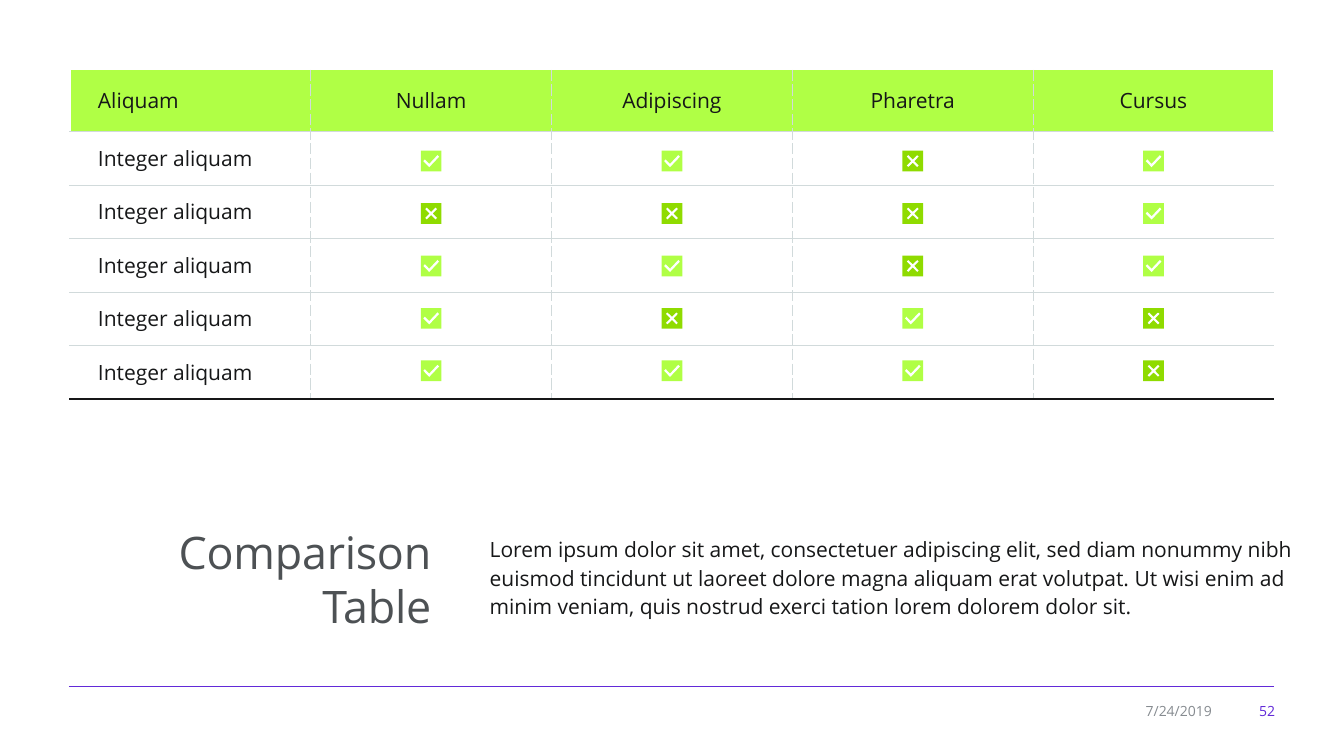
from dataclasses import dataclass

from lxml.etree import SubElement
from pptx import Presentation
from pptx.dml.color import RGBColor
from pptx.enum.shapes import MSO_CONNECTOR as Connector, MSO_SHAPE as Shape
from pptx.enum.text import MSO_ANCHOR as Anchor, MSO_AUTO_SIZE as AutoSize, PP_ALIGN as Align
from pptx.oxml.ns import qn
from pptx.util import Pt


@dataclass(frozen=True)
class Theme:
    font: str = "Open Sans"
    ink: str = "161718"
    title: str = "4D5154"
    muted: str = "868B90"
    accent: str = "622AD8"
    lime: str = "B0FF45"
    green: str = "8FDB00"
    grid: str = "D1DADB"
    white: str = "FFFFFF"
    title_size: float = 32
    body_size: float = 15
    footer_size: float = 10


THEME = Theme()

HEADERS = ["Aliquam", "Nullam", "Adipiscing", "Pharetra", "Cursus"]
ROW_LABEL = "Integer aliquam"
# One string per row: y is a check mark, n is a cross.
MARKS = ["yyny", "nnny", "yyny", "ynyn", "yyyn"]
HEADER_HEIGHT = 44
ROW_HEIGHT = 38.2

MARK_SIZE = 14.8
MARK_TOP = 21.1  # centre of the first mark below the header
MARK_PITCH = 37.45
# Outlines in points from the centre of a mark.
CHECK = [(-1.4, 4.3), (-5.6, 0), (-4.5, -1.2), (-1.4, 2), (4.5, -4.3), (5.6, -3.1)]
CROSS = [(4.2, -3.2), (3.2, -4.2), (0, -1.1), (-3.2, -4.2), (-4.2, -3.2), (-1.1, 0),
         (-4.2, 3.2), (-3.2, 4.2), (0, 1.1), (3.2, 4.2), (4.2, 3.2), (1.1, 0)]

BODY = ("Lorem ipsum dolor sit amet, consectetuer adipiscing elit, sed diam nonummy nibh "
        "euismod tincidunt ut laoreet dolore magna aliquam erat volutpat. Ut wisi enim ad "
        "minim veniam, quis nostrud exerci tation lorem dolorem dolor sit.")


def rgb(color):
    return RGBColor.from_string(color)


def style_para(para, size, color, align=Align.LEFT):
    para.alignment = align
    para.font.name = THEME.font
    para.font.size = Pt(size)
    para.font.color.rgb = rgb(color)


def add_text(page, box, text, size, color, align=Align.LEFT, anchor=Anchor.TOP):
    frame = page.shapes.add_textbox(*map(Pt, box)).text_frame
    frame.word_wrap = True
    frame.vertical_anchor = anchor
    para = frame.paragraphs[0]
    para.text = text
    style_para(para, size, color, align)
    return para


def paint(shape, color):
    shape.shadow.inherit = False
    shape.fill.solid()
    shape.fill.fore_color.rgb = rgb(color)
    shape.line.fill.background()


def add_border(cell, side, color, width=0.5, dash="solid"):
    """Draw one side (L, R, T or B) of a cell; call before setting its fill."""
    line = SubElement(cell._tc.get_or_add_tcPr(), qn(f"a:ln{side}"), w=str(Pt(width)))
    fill = SubElement(line, qn("a:solidFill"))
    SubElement(fill, qn("a:srgbClr"), val=color)
    SubElement(line, qn("a:prstDash"), val=dash)


def style_cell(cell, row, column):
    is_header, is_last = row == 0, row == len(MARKS)
    if column > 0:
        add_border(cell, "L", THEME.grid, dash="dash")
    if column < len(HEADERS) - 1:
        add_border(cell, "R", THEME.grid, dash="dash")
    add_border(cell, "T", THEME.lime if is_header else THEME.grid)
    if is_last:
        add_border(cell, "B", THEME.ink, 1.5)
    else:
        add_border(cell, "B", THEME.lime if is_header else THEME.grid)
    if is_header:
        cell.fill.solid()
        cell.fill.fore_color.rgb = rgb(THEME.lime)
    else:
        cell.fill.background()
    cell.vertical_anchor = Anchor.MIDDLE
    if column == 0:
        cell.margin_left = Pt(20)
    style_para(cell.text_frame.paragraphs[0], THEME.body_size, THEME.ink,
               Align.CENTER if column else Align.LEFT)


def add_mark(page, center_x, center_y, is_check):
    group = page.shapes.add_group_shape()
    half = MARK_SIZE / 2
    tile = group.shapes.add_shape(Shape.RECTANGLE, Pt(center_x - half), Pt(center_y - half),
                                  Pt(MARK_SIZE), Pt(MARK_SIZE))
    paint(tile, THEME.lime if is_check else THEME.green)
    points = [(Pt(center_x + x), Pt(center_y + y)) for x, y in (CHECK if is_check else CROSS)]
    builder = group.shapes.build_freeform(*points[0])
    builder.add_line_segments(points[1:], close=True)
    paint(builder.convert_to_shape(), THEME.white)


def add_comparison(page, box):
    left, top, width, height = box
    column_width = width / len(HEADERS)
    table = page.shapes.add_table(len(MARKS) + 1, len(HEADERS), *map(Pt, box)).table
    table.first_row = table.horz_banding = False
    for column in table.columns:
        column.width = Pt(column_width)
    for index, row in enumerate(table.rows):
        row.height = Pt(ROW_HEIGHT if index else HEADER_HEIGHT)
        for column, cell in enumerate(row.cells):
            if index == 0:
                cell.text = HEADERS[column]
            elif column == 0:
                cell.text = ROW_LABEL
            style_cell(cell, index, column)
    for index, marks in enumerate(MARKS):
        center_y = top + HEADER_HEIGHT + MARK_TOP + index * MARK_PITCH
        for column, mark in enumerate(marks, start=1):
            add_mark(page, left + (column + 0.5) * column_width, center_y, mark == "y")


def add_caption(page, box):
    """Fill the band below the table with the title and its description."""
    left, top, width, height = box
    title = page.shapes.title
    title.left, title.top, title.width, title.height = map(Pt, (left, top, 280, height))
    frame = title.text_frame
    frame.text = "Comparison\vTable"
    frame.word_wrap = True
    frame.auto_size = AutoSize.NONE
    frame.vertical_anchor = Anchor.MIDDLE
    para = frame.paragraphs[0]
    style_para(para, THEME.title_size, THEME.title, Align.RIGHT)
    for span in para.runs:
        span._r.get_or_add_rPr().set("spc", "-20")
    body = add_text(page, (left + 307.4, top + 7.2, width - 307.4, 69), BODY,
                    THEME.body_size, THEME.ink)
    body.line_spacing = 1.14


def add_footer(page, box):
    left, top, width, height = box
    rule = page.shapes.add_connector(Connector.STRAIGHT, Pt(left), Pt(top),
                                     Pt(left + width), Pt(top))
    rule.line.color.rgb = rgb(THEME.accent)
    rule.line.width = Pt(0.75)
    SubElement(rule._element.spPr, qn("a:effectLst"))
    right = left + width
    for text, offset, text_width, color in (("7/24/2019", -106, 68.4, THEME.muted),
                                            ("52", -29, 36.7, THEME.accent)):
        add_text(page, (right + offset, top + 8, text_width, height - 8), text,
                 THEME.footer_size, color, Align.RIGHT, Anchor.MIDDLE)


def main():
    deck = Presentation()
    deck.slide_width, deck.slide_height = Pt(960), Pt(540)
    page = deck.slides.add_slide(deck.slide_layouts[5])
    add_comparison(page, (50, 50, 860, 235))
    add_caption(page, (35.3, 370, 902.8, 87))
    add_footer(page, (49.2, 490.3, 861, 26.7))
    deck.save("out.pptx")


if __name__ == "__main__":
    main()
